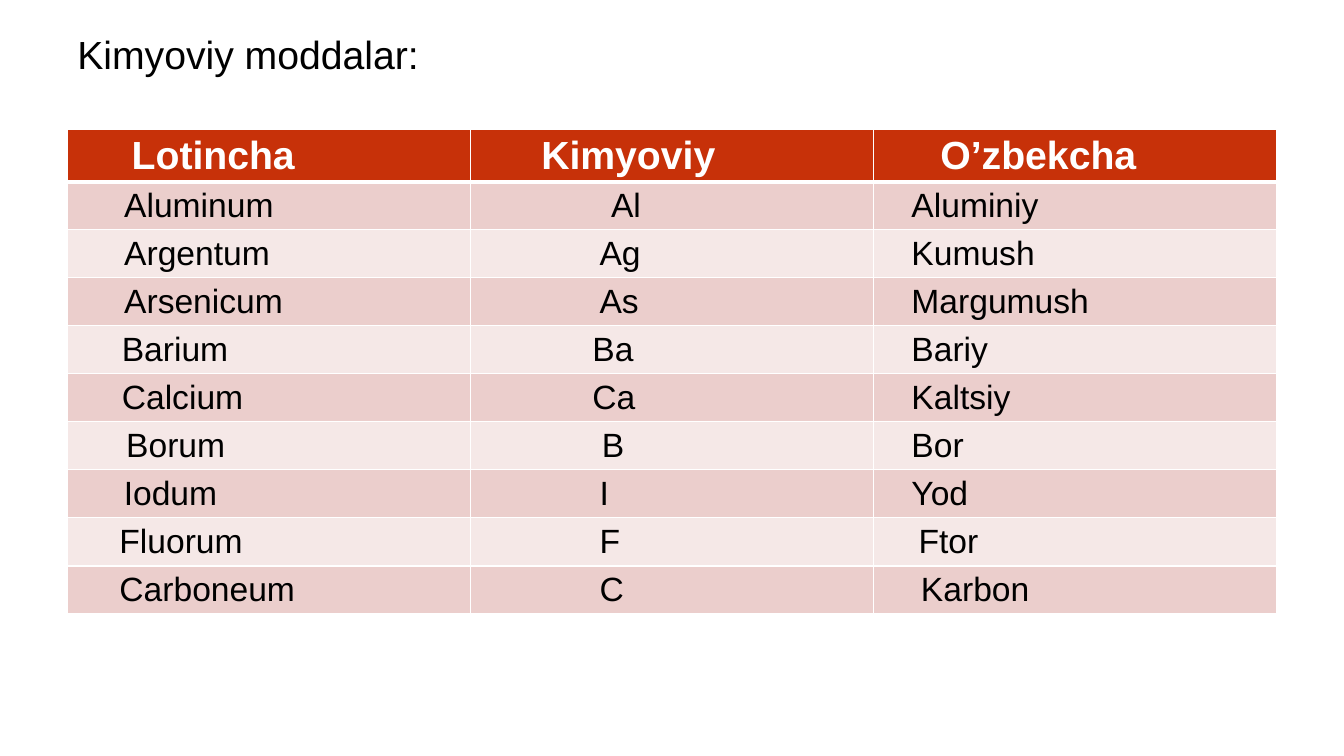
from dataclasses import dataclass

from lxml import etree
from pptx import Presentation
from pptx import util as u
from pptx.dml.color import RGBColor
from pptx.enum import text
from pptx.oxml import ns

Cm, Pt = u.Cm, u.Pt


@dataclass(frozen=True)
class Theme:
    font: str = "Arial"
    title_size: int = 28
    body_size: int = 24
    ink: str = "000000"
    white: str = "FFFFFF"
    header: str = "C73109"
    bands: tuple = ("EBCECC", "F5E8E7")
    thin: int = 1
    thick: int = 3


THEME = Theme()

# Each cell: text and its indent from the cell edge in cm
HEADER = [("Lotincha", 1.62), ("Kimyoviy", 1.78), ("O’zbekcha", 1.68)]
SUBSTANCES = [
    [("Aluminum", 1.43), ("Al", 3.54), ("Aluminiy", 0.95)],
    [("Argentum", 1.43), ("Ag", 3.25), ("Kumush", 0.95)],
    [("Arsenicum", 1.43), ("As", 3.25), ("Margumush", 0.95)],
    [("Barium", 1.37), ("Ba", 3.07), ("Bariy", 0.95)],
    [("Calcium", 1.37), ("Ca", 3.07), ("Kaltsiy", 0.95)],
    [("Borum", 1.48), ("B", 3.31), ("Bor", 0.95)],
    [("Iodum", 1.42), ("I", 3.25), ("Yod", 0.95)],
    [("Fluorum", 1.31), ("F", 3.25), ("Ftor", 1.13)],
    [("Carboneum", 1.31), ("C", 3.25), ("Karbon", 1.19)],
]


def add_run(p, content, size, color, bold=False):
    r = p.add_run()
    r.text = content
    r.font.name = THEME.font
    r.font.size = Pt(size)
    r.font.bold = bold
    r.font.color.rgb = RGBColor.from_string(color)


def add_title(s, content):
    sp = s.shapes.add_textbox(Cm(1.7), Cm(0.53), Cm(30.48), Cm(1.63))
    tf = sp.text_frame
    tf.word_wrap = True
    tf.vertical_anchor = text.MSO_ANCHOR.MIDDLE
    add_run(tf.paragraphs[0], content, THEME.title_size, THEME.ink)


def set_borders(cell, top, bottom):
    tc_pr = cell._tc.get_or_add_tcPr()
    widths = {"lnL": THEME.thin, "lnR": THEME.thin, "lnT": top, "lnB": bottom}
    for i, (side, width) in enumerate(widths.items()):
        ln = etree.Element(ns.qn(f"a:{side}"), w=str(Pt(width)))
        fill = etree.SubElement(ln, ns.qn("a:solidFill"))
        etree.SubElement(fill, ns.qn("a:srgbClr"), val=THEME.white)
        tc_pr.insert(i, ln)


def fill_cell(cell, content, indent, row):
    is_header = row == 0
    cell.margin_left = Cm(indent)
    cell.margin_top = cell.margin_bottom = Cm(0.05)
    cell.vertical_anchor = text.MSO_ANCHOR.MIDDLE
    cell.fill.solid()
    color = THEME.header if is_header else THEME.bands[(row - 1) % 2]
    cell.fill.fore_color.rgb = RGBColor.from_string(color)
    set_borders(cell,
                top=THEME.thick if row == 1 else THEME.thin,
                bottom=THEME.thick if is_header else THEME.thin)
    add_run(cell.text_frame.paragraphs[0], content,
            THEME.title_size if is_header else THEME.body_size,
            THEME.white if is_header else THEME.ink, is_header)


def add_substance_table(s, rows):
    header_height, row_height = Cm(1.32), Cm(1.21)
    height = header_height + row_height * (len(rows) - 1)
    table = s.shapes.add_table(len(rows), len(rows[0]), Cm(1.7), Cm(3.26),
                               Cm(30.48), height).table
    for i, row in enumerate(rows):
        table.rows[i].height = row_height if i else header_height
        for j, (content, indent) in enumerate(row):
            fill_cell(table.cell(i, j), content, indent, i)


def main():
    prs = Presentation()
    prs.slide_width, prs.slide_height = Cm(33.87), Cm(19.05)
    s = prs.slides.add_slide(prs.slide_layouts[6])

    # Heading
    add_title(s, "Kimyoviy moddalar:")

    # Latin names, symbols and Uzbek names
    add_substance_table(s, [HEADER] + SUBSTANCES)

    prs.save("out.pptx")


if __name__ == "__main__":
    main()
